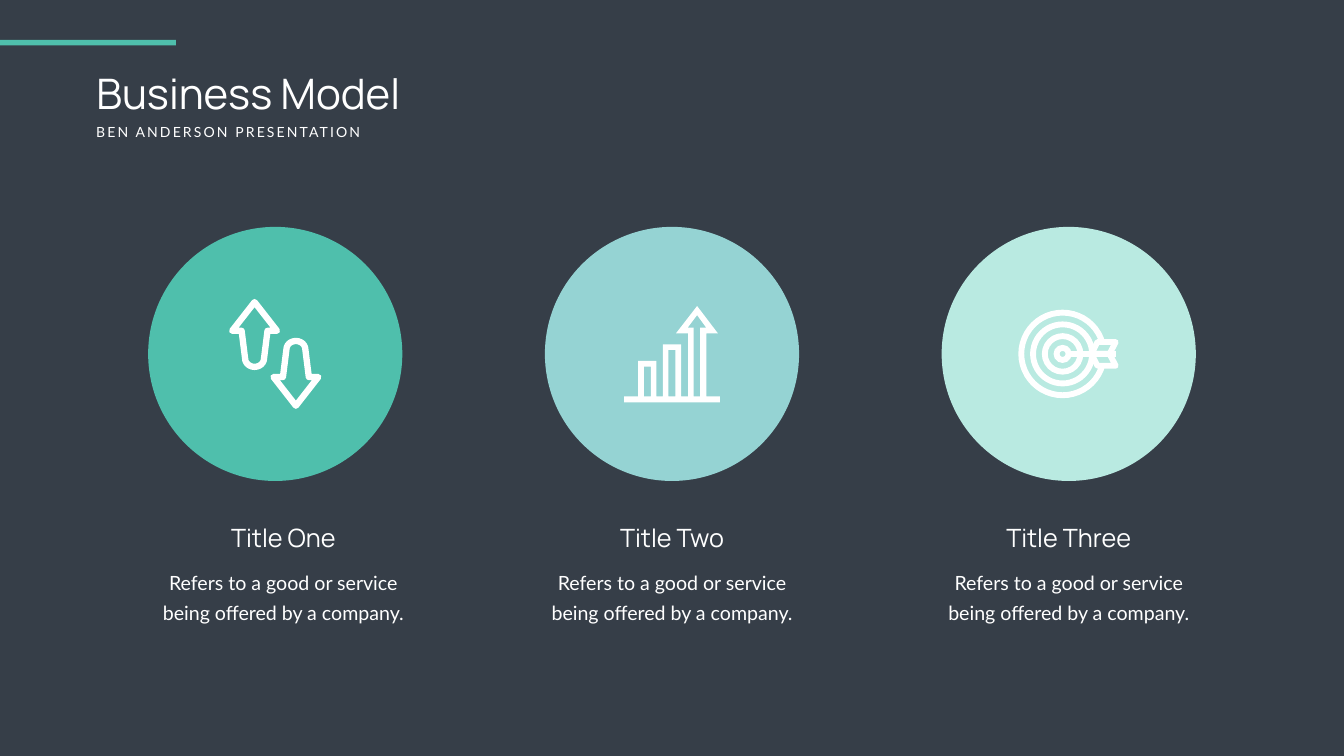
from math import cos, pi, sin

from lxml.etree import SubElement
from pptx import Presentation
from pptx.dml.color import RGBColor
from pptx.enum.shapes import MSO_CONNECTOR, MSO_SHAPE
from pptx.enum.text import MSO_ANCHOR, MSO_AUTO_SIZE, PP_ALIGN
from pptx.oxml.ns import qn
from pptx.util import Pt

WHITE, TEAL, BACKGROUND = "FFFFFF", "4FBFAC", "363E48"
MIDDLE_Y, DIAMETER = 505.6, 363
DESCRIPTION = "Refers to a good or service being offered by a company."


def paint(color_format, color):
    """Set a fill or font colour from a hex string."""
    color_format.rgb = RGBColor.from_string(color)


def write(box, text, size, font="Lato", align=PP_ALIGN.LEFT, inset=4.4, leading=None, tracking=None):
    """Put formatted white text into a placeholder or text box."""
    frame = box.text_frame
    frame.word_wrap = True
    frame.auto_size = MSO_AUTO_SIZE.NONE
    frame.vertical_anchor = MSO_ANCHOR.TOP
    frame.margin_top = frame.margin_bottom = Pt(inset)
    paragraph = frame.paragraphs[0]
    paragraph.alignment = align
    if leading:
        paragraph.line_spacing = Pt(leading)
    run = paragraph.add_run()
    run.text = text
    run.font.size, run.font.name = Pt(size), font
    paint(run.font.color, WHITE)
    if tracking:
        run.font._element.set("spc", str(tracking * 100))


def add_text(slide, left, top, width, height, text, **style):
    """Add a text box."""
    box = slide.shapes.add_textbox(Pt(left), Pt(top), Pt(width), Pt(height))
    write(box, text, **style)


def style_shape(shape, fill=None, stroke=None, join="miter"):
    """Give a shape its fill and white outline."""
    shape.shadow.inherit = False
    if fill:
        shape.fill.solid()
        paint(shape.fill.fore_color, fill)
    else:
        shape.fill.background()
    if stroke:
        shape.line.width = Pt(stroke)
        paint(shape.line.color, WHITE)
        SubElement(shape.line._get_or_add_ln(), qn(f"a:{join}"))
    else:
        shape.line.fill.background()


def add_solid(slide, kind, left, top, width, height, **style):
    """Add a preset shape."""
    shape = slide.shapes.add_shape(kind, Pt(left), Pt(top), Pt(width), Pt(height))
    style_shape(shape, **style)


def add_disc(slide, x, y, diameter, **style):
    """Add a circle around a centre."""
    add_solid(slide, MSO_SHAPE.OVAL, x - diameter / 2, y - diameter / 2, diameter, diameter, **style)


def add_outline(slide, x, y, *contours, **style):
    """Add a freeform of closed contours given relative to a centre."""
    placed = [[(Pt(x + dx), Pt(y + dy)) for dx, dy in contour] for contour in contours]
    builder = slide.shapes.build_freeform(*placed[0][0])
    for index, corners in enumerate(placed):
        if index:
            builder.move_to(*corners[0])
        builder.add_line_segments(corners[1:], close=True)
    style_shape(builder.convert_to_shape(), **style)


def add_stroke(slide, x1, y1, x2, y2, width):
    """Add a straight white line."""
    line = slide.shapes.add_connector(MSO_CONNECTOR.STRAIGHT, Pt(x1), Pt(y1), Pt(x2), Pt(y2))
    line.line.width = Pt(width)
    paint(line.line.color, WHITE)
    SubElement(line._element.spPr, qn("a:effectLst"))


def draw_exchange(slide, x, y, color):
    """Draw an up arrow and its half-turned twin."""
    tail = [(13.5 * cos(pi * i / 12), 34.5 + 12 * sin(pi * i / 12)) for i in range(13)]
    arrow = [(0, -46), (32, -5), (18.5, -5), *tail, (-18.5, -5), (-32, -5)]
    for turn in (1, -1):
        points = [(turn * dx, turn * dy) for dx, dy in arrow]
        add_outline(slide, x - turn * 29.5, y - turn * 28, points, stroke=9, join="round")


def bar_contour(left, right, top, base):
    """Return the corners of a bar."""
    return [(left, base), (left, top), (right, top), (right, base)]


def arrow_contour(left, right, tip_left, tip_right, head, apex, base):
    """Return the corners of an upward arrow."""
    return [(left, base), (left, head), (tip_left, head), (35.9, apex),
            (tip_right, head), (right, head), (right, base)]


def draw_growth(slide, x, y, color):
    """Draw two hollow bars and a hollow rising arrow on a baseline."""
    floor, base = 60.5, 69.1
    silhouette = [
        (-68.4, base), (-68.4, floor),
        *bar_contour(-48.2, -22.3, 10.1, floor),
        *bar_contour(-13, 13, -13.7, floor),
        *arrow_contour(23, 49, 5.8, 65.5, -29.5, -68.4, floor),
        (68.4, floor), (68.4, base),
    ]
    hollows = [
        bar_contour(-40.3, -30.2, 18, floor),
        bar_contour(-5, 5, -5.8, floor),
        arrow_contour(31, 40.3, 22.3, 49, -37.4, -55.4, floor),
    ]
    add_outline(slide, x, y, silhouette, *hollows, fill=WHITE)


def draw_target(slide, x, y, color):
    """Draw a ringed target hit by an arrow."""
    stroke, bullseye = 8.4, x - 8.8
    for ring in range(4):
        add_disc(slide, bullseye, y, 2 * (8.6 + 16.8 * ring), stroke=stroke)
    for side in (-1, 1):
        feather = [(32.4, 0), (41, 17 * side), (67, 17 * side), (58.3, 0)]
        add_outline(slide, x, y, feather, fill=color, stroke=stroke, join="round")
    add_stroke(slide, bullseye + 5, y, x + 67, y, stroke)


def add_column(slide, x, text_x, color, heading, draw_icon):
    """Add a disc with its icon, heading and description."""
    add_disc(slide, x, MIDDLE_Y, DIAMETER, fill=color)
    draw_icon(slide, x, MIDDLE_Y, color)
    centred = dict(align=PP_ALIGN.CENTER, inset=3.2)
    add_text(slide, text_x - 202.5, 743, 405, 52.6, heading, size=36, font="Manrope", **centred)
    add_text(slide, text_x - 180.7, 802.8, 361.4, 89.3, DESCRIPTION, size=28, leading=43, **centred)


def main():
    """Build the business model slide."""
    deck = Presentation()
    deck.slide_width, deck.slide_height = Pt(1919.52), Pt(1080)
    slide = deck.slides.add_slide(deck.slide_layouts[5])
    slide.background.fill.solid()
    paint(slide.background.fill.fore_color, BACKGROUND)

    title = slide.shapes.title
    title.left, title.top, title.width, title.height = Pt(130.3), Pt(92.2), Pt(699), Pt(80)
    write(title, "Business Model", size=60, font="Manrope")
    add_solid(slide, MSO_SHAPE.RECTANGLE, 0, 56.9, 251.3, 7.9, fill=TEAL)
    add_text(slide, 130.3, 172.1, 421, 31.7, "BEN ANDERSON PRESENTATION", size=20, tracking=3)

    columns = [
        (404.6, TEAL, "Title One", draw_exchange),
        (959.8, "95D3D3", "Title Two", draw_growth),
        (1526.4, "B9EAE1", "Title Three", draw_target),
    ]
    for index, column in enumerate(columns):
        add_column(slide, 393.1 + 566.65 * index, *column)
    deck.save("out.pptx")


if __name__ == "__main__":
    main()
